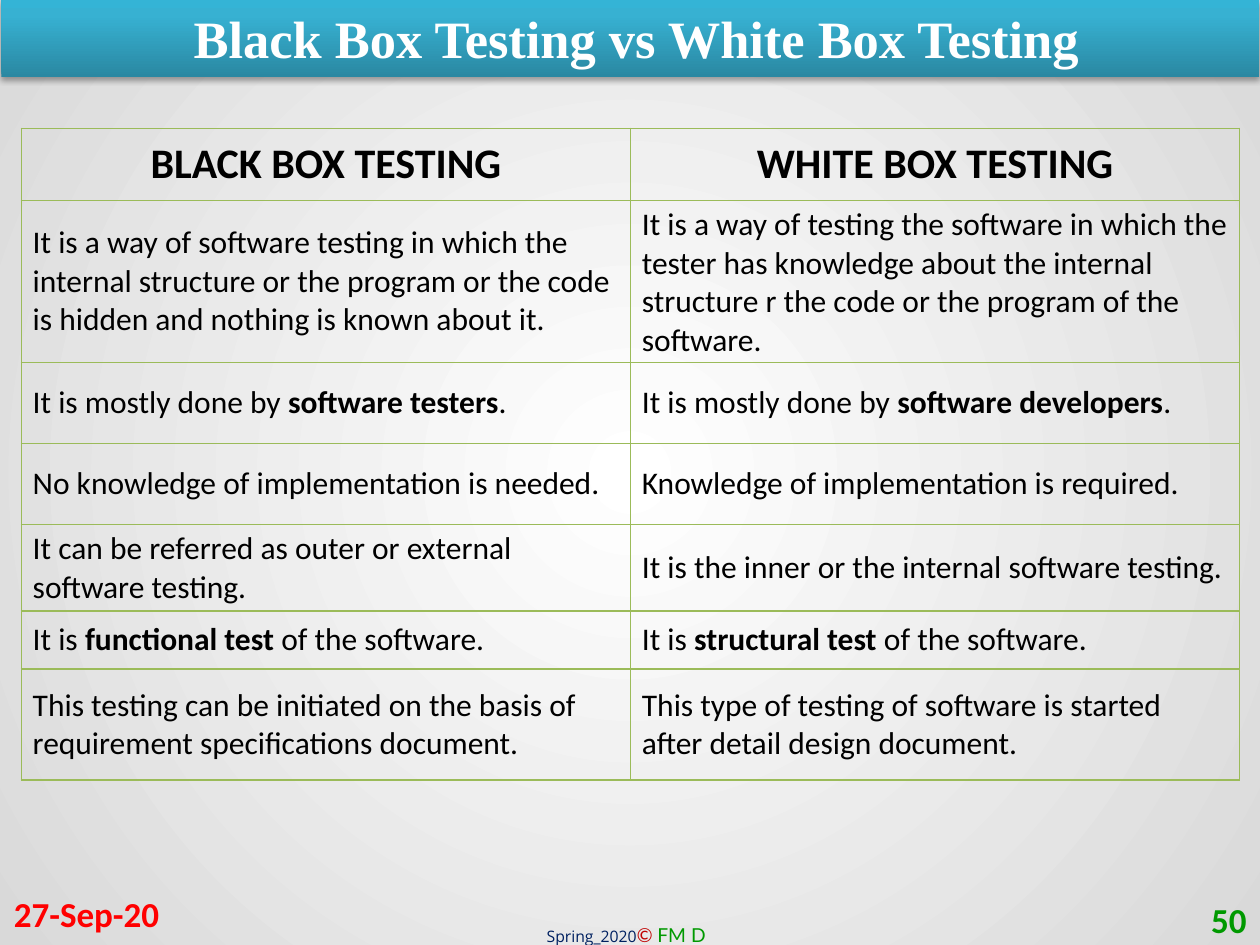
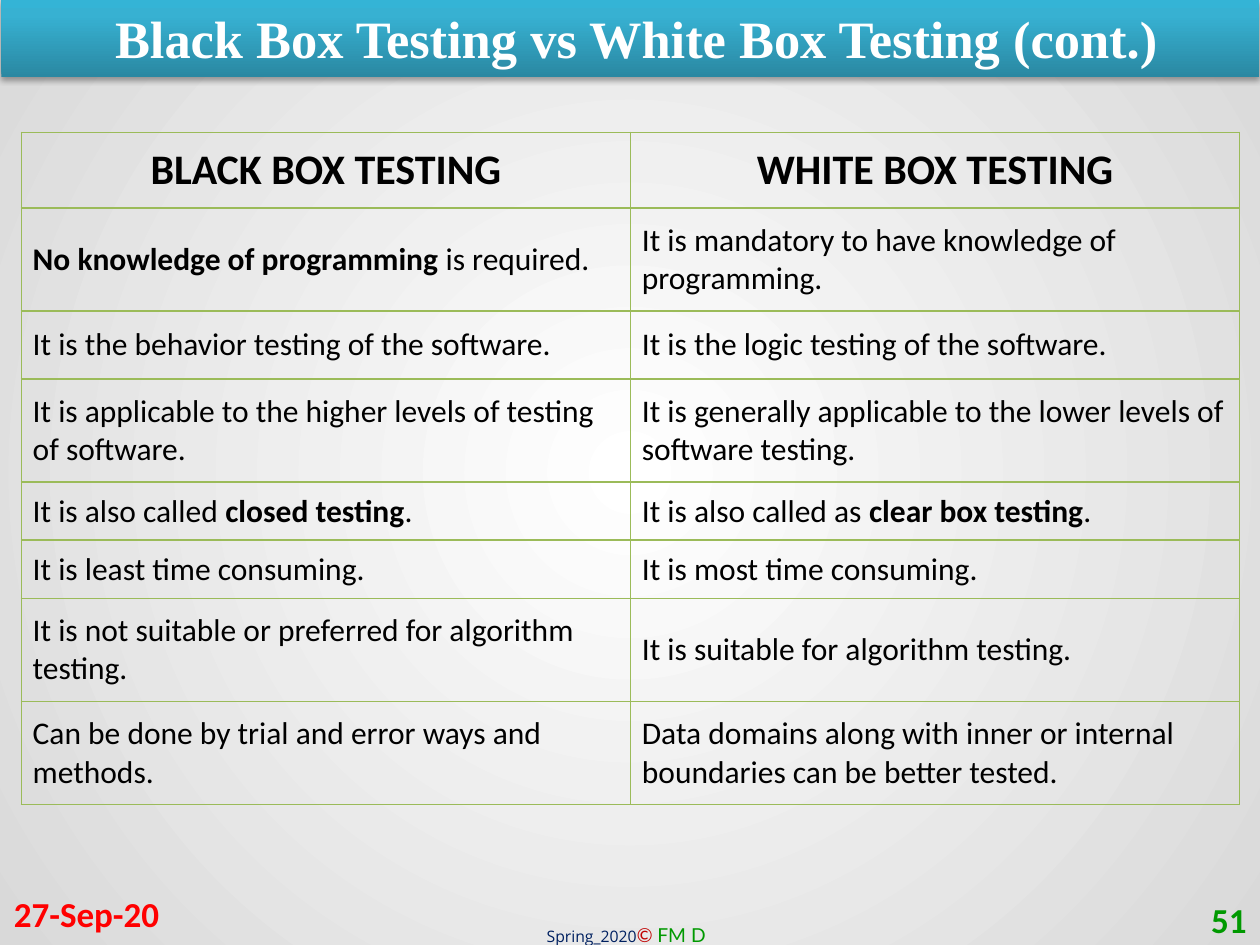
from dataclasses import dataclass

import pptx
import pptx.dml.color
import pptx.enum.shapes
import pptx.enum.text
import pptx.oxml
import pptx.oxml.ns
import pptx.util

Cm = pptx.util.Cm
Pt = pptx.util.Pt
ALIGN = pptx.enum.text.PP_ALIGN
ANCHOR = pptx.enum.text.MSO_ANCHOR
AUTO_SIZE = pptx.enum.text.MSO_AUTO_SIZE


@dataclass(frozen=True)
class Theme:
    """Colours, gradients and type styles shared by the slides."""
    grid: str = "9BBB59"
    background: tuple = ((0, "FFFFFF"), (100, "D9D9D9"))
    band: tuple = ((0, "2A88A2"), (80, "37B1D2"), (100, "34B4D6"))
    # Type styles: font, size, colour, bold, italic
    title: tuple = ("Times New Roman", 30, "FFFFFF", True, False)
    date: tuple = ("Calibri", 20, "FF0000", True, False)
    number: tuple = ("Calibri", 20, "009900", True, False)
    heading: tuple = ("Calibri", 24, "000000", True, False)
    body: tuple = ("Calibri", 18, "000000", False, False)
    strong: tuple = ("Calibri", 18, "000000", True, False)
    term: tuple = ("Open Sans", 9, "002060", False, False)
    copyright: tuple = ("Lato", 11, "C00000", False, True)
    author: tuple = ("Lato", 11, "009900", False, False)


THEME = Theme()
RADIAL = '<a:path path="circle"><a:fillToRect l="50000" t="50000" r="50000" b="50000"/></a:path>'
UPWARD = '<a:lin ang="16200000" scaled="0"/>'
COLUMN_WIDTH = 12.28
HEADINGS = ("BLACK BOX TESTING", "WHITE BOX TESTING")

# Each slide: title, number, table top, row heights, rows (bold between asterisks)
SLIDES = [
    (" Black Box Testing vs White Box Testing", "50", 2.59,
     [1.45, 2.87, 1.63, 1.63, 1.63, 1.17, 2.24],
     [("It is a way of software testing in which the internal structure or the program "
       "or the code is hidden and nothing is known about it.",
       "It is a way of testing the software in which the tester has knowledge about the "
       "internal structure r the code or the program of the software."),
      ("It is mostly done by *software testers*.",
       "It is mostly done by *software developers*."),
      ("No knowledge of implementation is needed.",
       "Knowledge of implementation is required."),
      ("It can be referred as outer or external software testing.",
       "It is the inner or the internal software testing."),
      ("It is *functional test *of the software.",
       "It is *structural test *of the software."),
      ("This testing can be initiated on the basis of requirement specifications document.",
       "This type of testing of software is started after detail design document.")]),
    (" Black Box Testing vs White Box Testing (cont.)", "51", 2.67,
     [1.52, 2.08, 1.37, 2.08, 1.17, 1.17, 2.08, 2.08],
     [("*No knowledge of programming *is required.",
       "It is mandatory to have knowledge of programming."),
      ("It is the behavior testing of the software.",
       "It is the logic testing of the software."),
      ("It is applicable to the higher levels of testing of software.",
       "It is generally applicable to the lower levels of software testing."),
      ("It is also called *closed testing*.",
       "It is also called as *clear box testing*."),
      ("It is least time consuming.", "It is most time consuming."),
      ("It is not suitable or preferred for algorithm testing.",
       "It is suitable for algorithm testing."),
      ("Can be done by trial and error ways and methods.",
       "Data domains along with inner or internal boundaries can be better tested.")]),
]


# Formatting helpers
def set_attributes(target, values):
    for name, value in values.items():
        setattr(target, name, value)


def drawing_xml(tag, content, attributes=""):
    namespace = pptx.oxml.ns.nsdecls("a")
    return pptx.oxml.parse_xml(f"<a:{tag} {namespace} {attributes}>{content}</a:{tag}>")


def set_gradient(fill, element, stops, direction):
    fill.gradient()
    default = next(element.iter(pptx.oxml.ns.qn("a:gradFill")))
    stop_list = "".join(
        f'<a:gs pos="{position * 1000}"><a:srgbClr val="{color}"/></a:gs>'
        for position, color in stops)
    gradient = drawing_xml("gradFill", f"<a:gsLst>{stop_list}</a:gsLst>{direction}",
                           'rotWithShape="1"')
    default.getparent().replace(default, gradient)


def write_runs(paragraph, pieces, alignment=ALIGN.LEFT):
    paragraph.alignment = alignment
    for text, (name, size, color, bold, italic) in pieces:
        run = paragraph.add_run()
        run.text = text
        set_attributes(run.font, {"name": name, "size": Pt(size),
                                  "bold": bold, "italic": italic})
        run.font.color.rgb = pptx.dml.color.RGBColor.from_string(color)


def marked_pieces(text):
    """Split text at asterisks; every second part is bold."""
    return [(part, THEME.strong if index % 2 else THEME.body)
            for index, part in enumerate(text.split("*")) if part]


# Slide elements
def add_text(slide, box, pieces, alignment=ALIGN.LEFT, **frame_format):
    shape = slide.shapes.add_textbox(*map(Cm, box))
    set_attributes(shape.text_frame, {"word_wrap": True, **frame_format})
    write_runs(shape.text_frame.paragraphs[0], pieces, alignment)


def add_title_band(slide, title):
    shape = slide.shapes.add_shape(pptx.enum.shapes.MSO_SHAPE.RECTANGLE,
                                   Cm(0.03), Cm(0), Cm(25.35), Cm(1.55))
    set_gradient(shape.fill, shape.element, THEME.band, UPWARD)
    shape.line.fill.background()
    shape.shadow.inherit = False
    effects = next(shape.element.iter(pptx.oxml.ns.qn("a:effectLst")))
    effects.append(drawing_xml(
        "outerShdw", '<a:srgbClr val="000000"><a:alpha val="35000"/></a:srgbClr>',
        'blurRad="40000" dist="23000" dir="5400000" rotWithShape="0"'))
    set_attributes(shape.text_frame, {"word_wrap": True, "vertical_anchor": ANCHOR.TOP,
                                      "auto_size": AUTO_SIZE.SHAPE_TO_FIT_TEXT})
    write_runs(shape.text_frame.paragraphs[0], [(title, THEME.title)], ALIGN.CENTER)


def format_cell(cell, side_margin, end_margin):
    set_attributes(cell, {"vertical_anchor": ANCHOR.MIDDLE,
                          "margin_left": Cm(side_margin), "margin_right": Cm(side_margin),
                          "margin_top": Cm(end_margin), "margin_bottom": Cm(end_margin)})
    cell.fill.background()
    properties = cell._tc.get_or_add_tcPr()
    color = f'<a:solidFill><a:srgbClr val="{THEME.grid}"/></a:solidFill>'
    for index, side in enumerate("LRTB"):
        properties.insert(index, drawing_xml(f"ln{side}", color, 'w="12700"'))


def add_comparison_table(slide, top, heights, rows):
    frame = slide.shapes.add_table(len(heights), len(HEADINGS), Cm(0.43), Cm(top),
                                   Cm(COLUMN_WIDTH * len(HEADINGS)), Cm(sum(heights)))
    table = frame.table
    set_attributes(table, {"first_row": False, "horz_banding": False})
    for column in table.columns:
        column.width = Cm(COLUMN_WIDTH)
    for row, height in zip(table.rows, heights):
        row.height = Cm(height)
    for cell, heading in zip(table.rows[0].cells, HEADINGS):
        format_cell(cell, 0.13, 0.13)
        write_runs(cell.text_frame.paragraphs[0], [(heading, THEME.heading)], ALIGN.CENTER)
    for row_index, texts in enumerate(rows, start=1):
        for cell, text in zip(table.rows[row_index].cells, texts):
            format_cell(cell, 0.23, 0.11)
            write_runs(cell.text_frame.paragraphs[0], marked_pieces(text))


def add_footers(slide, number):
    add_text(slide, (10.77, 18.49, 3.84, 0.74),
             [("Spring_2020", THEME.term), ("© ", THEME.copyright), ("FM D", THEME.author)],
             word_wrap=False, auto_size=AUTO_SIZE.SHAPE_TO_FIT_TEXT)
    add_text(slide, (0.03, 17.91, 5.92, 1.02), [("27-Sep-20", THEME.date)],
             vertical_anchor=ANCHOR.MIDDLE)
    add_text(slide, (19.46, 18.03, 5.92, 1.02), [(number, THEME.number)], ALIGN.RIGHT,
             vertical_anchor=ANCHOR.MIDDLE)


def main():
    presentation = pptx.Presentation()
    set_attributes(presentation, {"slide_width": Cm(25.4), "slide_height": Cm(19.05)})
    for title, number, top, heights, rows in SLIDES:
        slide = presentation.slides.add_slide(presentation.slide_layouts[6])
        set_gradient(slide.background.fill, slide.element, THEME.background, RADIAL)
        add_title_band(slide, title)
        add_footers(slide, number)
        add_comparison_table(slide, top, heights, rows)
    presentation.save("out.pptx")


if __name__ == "__main__":
    main()
